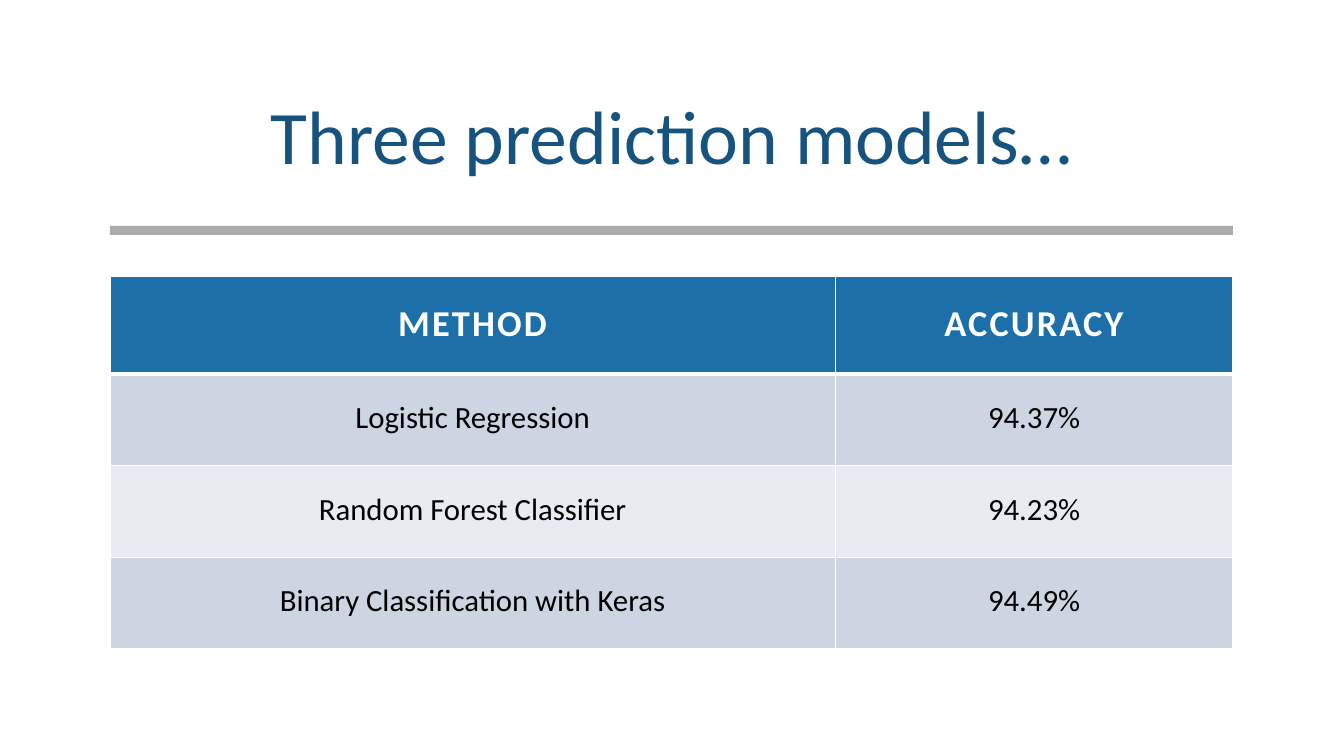
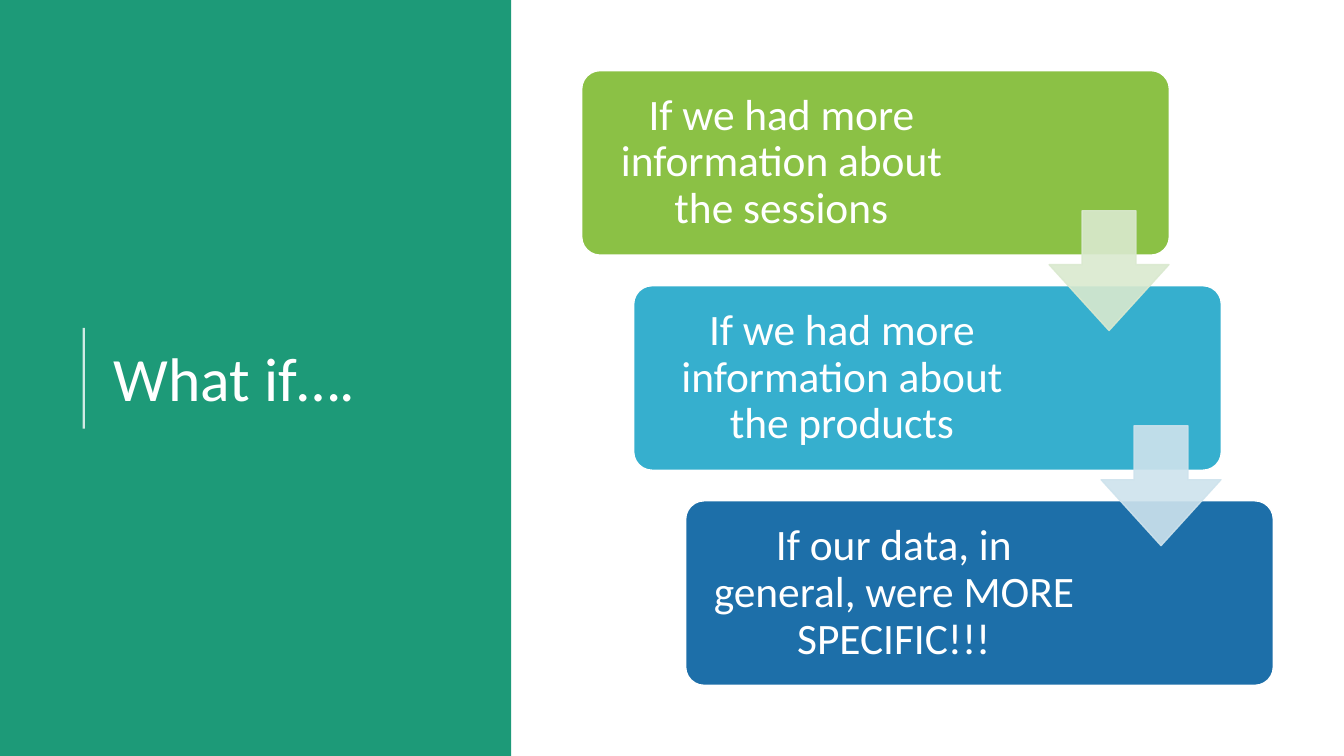
"""Build two slides: a table of model accuracies and a staircase of ideas."""
import lxml.etree
import pptx
import pptx.dml.color
import pptx.enum.shapes
import pptx.enum.text
import pptx.oxml.ns
import pptx.util

Cm = pptx.util.Cm
Pt = pptx.util.Pt
SHAPES = pptx.enum.shapes.MSO_SHAPE
ALIGN = pptx.enum.text.PP_ALIGN
qn = pptx.oxml.ns.qn

FONT = "Calibri"
WHITE, BLACK, GREY = "FFFFFF", "000000", "808080"
NAVY, BLUE, TEAL, GREEN, SKY = "16537F", "1D6FA9", "1D9A78", "8BC145", "36AFCE"
BAND_FILLS = ["CDD5E2", "E8EBF1"]

MODELS_TITLE = "Three prediction models…"
MODELS = [
    ("METHOD", "ACCURACY"),
    ("Logistic Regression", "94.37%"),
    ("Random Forest Classifier", "94.23%"),
    ("Binary Classification with Keras", "94.49%"),
]
COLUMN_WIDTHS = [18.28, 10.02]
HEADER_HEIGHT, ROW_HEIGHT = 2.46, 2.31
CELL_MARGIN = 0.64

IDEAS_TITLE = "What if…."
IDEAS = [
    ("If we had more information about the sessions", GREEN, 9.78),
    ("If we had more information about the products", SKY, 10.21),
    ("If our data, in general, were MORE SPECIFIC!!!", BLUE, 10.21),
]
ARROW_FILLS = ["DAE9CF", "CEE3ED"]
STEP_LEFT, STEP_TOP, STEP_WIDTH, STEP_HEIGHT = 14.66, 1.78, 14.81, 4.65
STEP_RIGHT, STEP_DOWN = 1.31, 5.42
ARROW_RIGHT, ARROW_DOWN, ARROW_SIZE = 11.78, 3.53, 3.02
TEXT_INSET, TEXT_MARGIN = 0.14, 0.33


def colour(value):
    return pptx.dml.color.RGBColor.from_string(value)


def set_opacity(shape, percent):
    for node in shape.element.spPr.iter(qn("a:srgbClr")):
        lxml.etree.SubElement(node, qn("a:alpha")).set("val", str(percent * 1000))


def set_margins(holder, margin):
    for side in ("left", "top", "right", "bottom"):
        setattr(holder, f"margin_{side}", Cm(margin))


def style_text(para, size, hue, align, bold=False):
    para.alignment = align
    for span in para.runs:
        span.font.name = FONT
        span.font.size = Pt(size)
        span.font.bold = bold
        span.font.color.rgb = colour(hue)


def add_text(page, text, place, size, hue, align, margin=None):
    frame = page.shapes.add_textbox(*map(Cm, place)).text_frame
    frame.text = text
    frame.word_wrap = True
    frame.vertical_anchor = pptx.enum.text.MSO_ANCHOR.MIDDLE
    if margin is not None:
        set_margins(frame, margin)
    para = frame.paragraphs[0]
    para.line_spacing = 0.9
    style_text(para, size, hue, align)


def add_block(page, kind, place, fill, line=None, adjust=(), opacity=None):
    shape = page.shapes.add_shape(kind, *map(Cm, place))
    shape.shadow.inherit = False
    for index, value in enumerate(adjust):
        shape.adjustments[index] = value
    shape.fill.solid()
    shape.fill.fore_color.rgb = colour(fill)
    if line:
        shape.line.color.rgb = colour(line)
        shape.line.width = Pt(1)
    else:
        shape.line.fill.background()
    if opacity:
        set_opacity(shape, opacity)


def style_cell(cell, fill, top, bottom):
    properties = cell._tc.get_or_add_tcPr()
    for edge, width in (("L", 1), ("R", 1), ("T", top), ("B", bottom)):
        border = lxml.etree.SubElement(properties, qn(f"a:ln{edge}"))
        border.set("w", str(Pt(width)))
        solid = lxml.etree.SubElement(border, qn("a:solidFill"))
        lxml.etree.SubElement(solid, qn("a:srgbClr")).set("val", WHITE)
    cell.fill.solid()
    cell.fill.fore_color.rgb = colour(fill)
    set_margins(cell, CELL_MARGIN)


def add_models_table(page, left, top):
    heights = [HEADER_HEIGHT] + [ROW_HEIGHT] * (len(MODELS) - 1)
    place = (left, top, sum(COLUMN_WIDTHS), sum(heights))
    table = page.shapes.add_table(len(MODELS), len(COLUMN_WIDTHS), *map(Cm, place)).table
    for column, width in zip(table.columns, COLUMN_WIDTHS):
        column.width = Cm(width)
    for number, (values, height) in enumerate(zip(MODELS, heights)):
        header = number == 0
        table.rows[number].height = Cm(height)
        fill = BLUE if header else BAND_FILLS[(number - 1) % 2]
        for index, value in enumerate(values):
            cell = table.cell(number, index)
            cell.text = value
            style_cell(cell, fill, 3 if number == 1 else 1, 3 if header else 1)
            para = cell.text_frame.paragraphs[0]
            style_text(para, 26 if header else 22, WHITE if header else BLACK,
                       ALIGN.CENTER, header)
            if header:
                para.runs[0].font._element.set("spc", "150")


def build_models(page):
    add_text(page, MODELS_TITLE, (2.41, 1.68, 29.03, 3.68), 54, NAVY, ALIGN.CENTER)
    add_block(page, SHAPES.RECTANGLE, (2.77, 5.69, 28.3, 0.23), GREY, opacity=65)
    add_models_table(page, 2.77, 6.96)


def add_title_rule(page):
    ends = (2.11, 10.8, 2.11, 8.26)
    rule = page.shapes.add_connector(pptx.enum.shapes.MSO_CONNECTOR.STRAIGHT, *map(Cm, ends))
    rule.line.color.rgb = colour(WHITE)
    rule.line.width = Pt(1.5)
    set_opacity(rule, 80)
    lxml.etree.SubElement(rule.element.spPr, qn("a:effectLst"))


def build_ideas(page):
    add_block(page, SHAPES.RECTANGLE, (0, 0, 12.88, 19.05), TEAL)
    add_text(page, IDEAS_TITLE, (2.62, 1.98, 9.37, 15.29), 44, WHITE, ALIGN.LEFT)
    add_title_rule(page)
    corners = [(STEP_LEFT + STEP_RIGHT * index, STEP_TOP + STEP_DOWN * index)
               for index in range(len(IDEAS))]
    for (text, fill, width), (left, top) in zip(IDEAS, corners):
        add_block(page, SHAPES.ROUNDED_RECTANGLE, (left, top, STEP_WIDTH, STEP_HEIGHT),
                  fill, WHITE, [0.1])
        place = (left + TEXT_INSET, top + TEXT_INSET, width, STEP_HEIGHT - 2 * TEXT_INSET)
        add_text(page, text, place, 31, WHITE, ALIGN.CENTER, TEXT_MARGIN)
    for fill, (left, top) in zip(ARROW_FILLS, corners):
        place = (left + ARROW_RIGHT, top + ARROW_DOWN, ARROW_SIZE, ARROW_SIZE)
        add_block(page, SHAPES.DOWN_ARROW, place, fill, fill, [0.45, 0.55], 90)


def main():
    deck = pptx.Presentation()
    deck.slide_width, deck.slide_height = Cm(33.87), Cm(19.05)
    for build in (build_models, build_ideas):
        build(deck.slides.add_slide(deck.slide_layouts[6]))
    deck.save("out.pptx")


if __name__ == "__main__":
    main()
